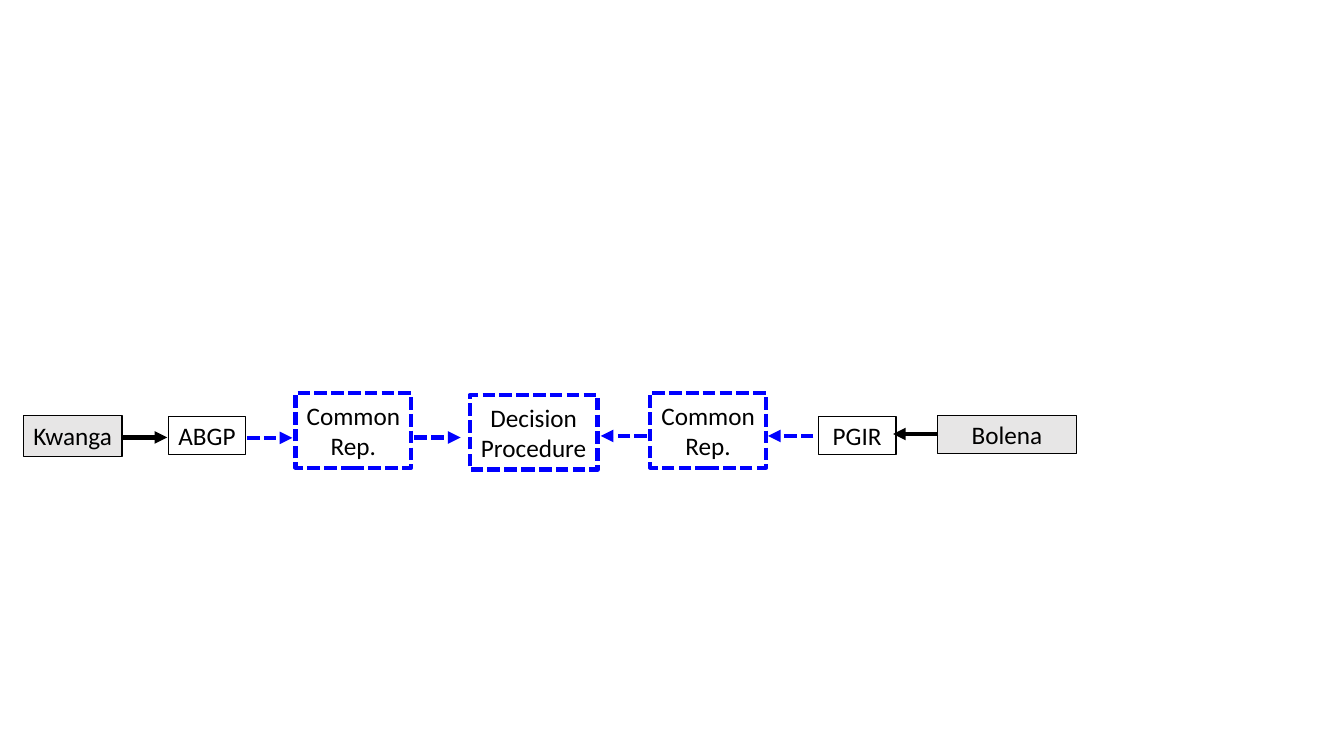
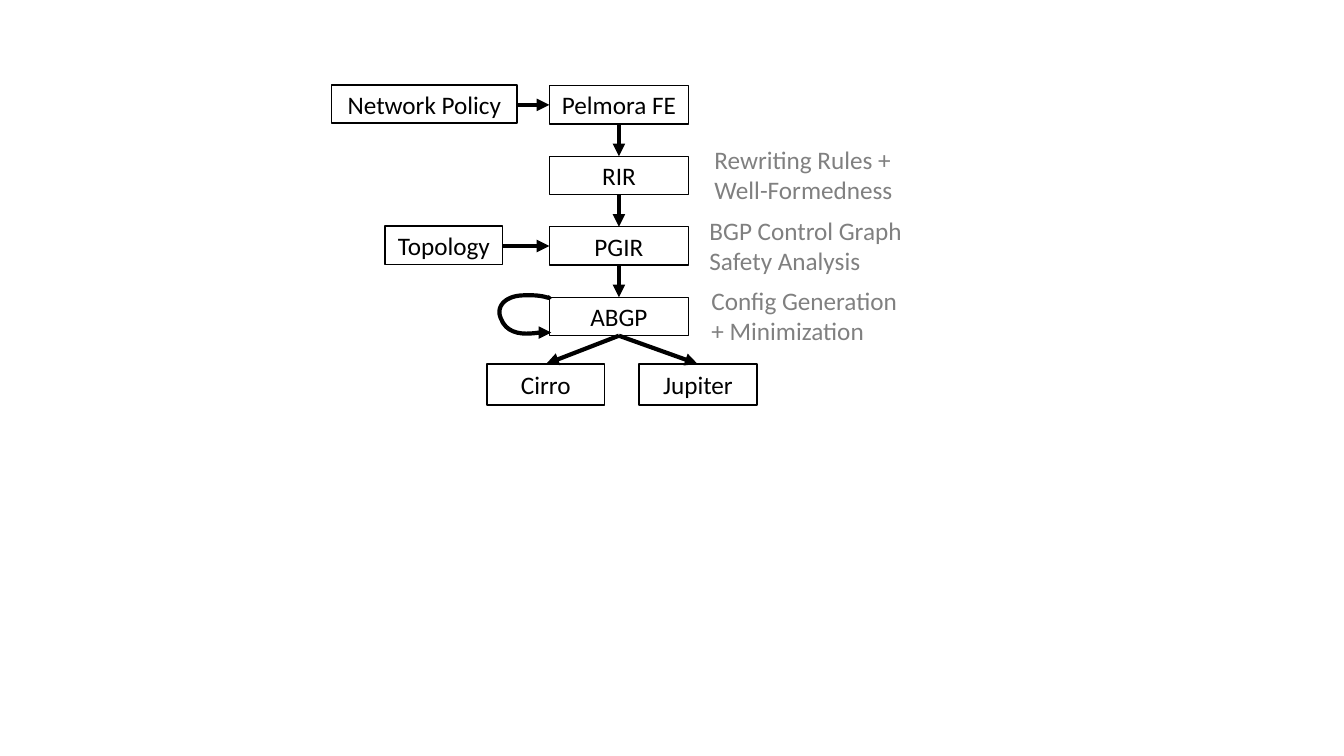
from collections import namedtuple

from lxml import etree
from pptx import Presentation
from pptx.dml.color import RGBColor
from pptx.enum.dml import MSO_LINE
from pptx.enum.shapes import MSO_CONNECTOR, MSO_SHAPE
from pptx.enum.text import MSO_ANCHOR, PP_ALIGN
from pptx.oxml.ns import qn
from pptx.util import Pt

RECTANGLE = MSO_SHAPE.RECTANGLE
STRAIGHT = MSO_CONNECTOR.STRAIGHT
DASHED = MSO_LINE.SQUARE_DOT
MIDDLE, TOP = MSO_ANCHOR.MIDDLE, MSO_ANCHOR.TOP
CENTER, LEFT = PP_ALIGN.CENTER, PP_ALIGN.LEFT

COLORS = {"ink": "000000", "paper": "FFFFFF", "tool": "E7E6E6",
          "planned": "0000FF", "note": "808080"}
FONT, TEXT_SIZE = "Calibri", 18
THIN, THICK = 1, 3
NODE_HEIGHT, ROUTER_HEIGHT = 27.4, 29.5
Box = namedtuple("Box", "left top width height")


def color(name):
    """Return the named colour."""
    return RGBColor.from_string(COLORS[name])


def write(frame, lines, ink, align, anchor):
    """Write each line as one paragraph."""
    frame.word_wrap = True
    frame.vertical_anchor = anchor
    for index, line in enumerate(lines):
        para = frame.add_paragraph() if index else frame.paragraphs[0]
        para.alignment = align
        span = para.add_run()
        span.text = line
        span.font.name = FONT
        span.font.size = Pt(TEXT_SIZE)
        span.font.color.rgb = color(ink)


def style_line(line, ink, width, dashed=False):
    """Set the colour, width and dash of a line."""
    line.color.rgb = color(ink)
    line.width = Pt(width)
    if dashed:
        line.dash_style = DASHED


def add_arrowhead(line):
    """End a line with a triangle."""
    tail = etree.SubElement(line._get_or_add_ln(), qn("a:tailEnd"))
    tail.set("type", "triangle")


def add_node(page, box, lines, fill="paper", planned=False):
    """Draw a labelled rectangle, dashed when it is planned."""
    node = page.shapes.add_shape(RECTANGLE, *map(Pt, box))
    node.shadow.inherit = False
    node.fill.solid()
    node.fill.fore_color.rgb = color(fill)
    style_line(node.line, "planned" if planned else "ink",
               THICK if planned else THIN, planned)
    frame = node.text_frame
    frame.margin_left = frame.margin_right = 0
    frame.margin_top = frame.margin_bottom = 0
    write(frame, lines, "ink", CENTER, MIDDLE)


def add_arrow(page, start, end, planned=False):
    """Draw a straight arrow between two points."""
    arrow = page.shapes.add_connector(STRAIGHT, *map(Pt, start + end))
    style_line(arrow.line, "planned" if planned else "ink", THICK, planned)
    add_arrowhead(arrow.line)
    etree.SubElement(arrow._element.spPr, qn("a:effectLst"))


def add_note(page, box, lines):
    """Write a grey remark beside a stage."""
    note = page.shapes.add_textbox(*map(Pt, box))
    write(note.text_frame, lines, "note", LEFT, TOP)


def curve_points(start, curves, steps=16):
    """Sample a chain of cubic curves."""
    points = [start]
    for first, second, end in curves:
        begin = points[-1]
        for step in range(1, steps + 1):
            t = step / steps
            weights = ((1 - t) ** 3, 3 * t * (1 - t) ** 2,
                       3 * t * t * (1 - t), t ** 3)
            corners = (begin, first, second, end)
            points.append(tuple(
                sum(weight * corner[axis]
                    for weight, corner in zip(weights, corners))
                for axis in (0, 1)))
    return points


def add_loop(page, box):
    """Draw the arrow that returns to the left side of its box."""
    curves = [((-1.4, 2.2), (0, -2.2), (-19.4, -1.4)),
              ((-32.4, -0.7), (-38.2, 7.2), (-34.6, 15.1)),
              ((-27.4, 34.6), (2.2, 20.9), (1.4, 25.2))]
    points = [(Pt(box.left + x), Pt(box.top + y))
              for x, y in curve_points((0.7, -0.7), curves)]
    builder = page.shapes.build_freeform(*points[0])
    builder.add_line_segments(points[1:], close=False)
    loop = builder.convert_to_shape()
    loop.shadow.inherit = False
    loop.fill.background()
    style_line(loop.line, "ink", THICK)
    add_arrowhead(loop.line)


def draw_pipeline(page, area):
    """Draw the two chains that meet at the decision procedure."""
    nodes = [
        (0, 15.8, 70.6, ROUTER_HEIGHT, ["Kwanga"], "tool", False),
        (103.6, 16.6, 55.4, NODE_HEIGHT, ["ABGP"], "paper", False),
        (194.4, 0, 82.8, 53.3, ["Common", "Rep."], "paper", True),
        (318.9, 1.4, 91.4, 53.3, ["Decision", "Procedure"], "paper", True),
        (447.8, 0, 82.8, 53.3, ["Common", "Rep."], "paper", True),
        (568, 16.6, 55.4, NODE_HEIGHT, ["PGIR"], "paper", False),
        (653, 15.8, 99.4, NODE_HEIGHT, ["Bolena"], "tool", False),
    ]
    for x, y, width, height, lines, fill, planned in nodes:
        box = Box(area.left + x, area.top + y, width, height)
        add_node(page, box, lines, fill, planned)
    arrows = [(70.5, 102.9, 31.7, False), (159.8, 192.2, 32, True),
              (279.3, 312.4, 31.7, True), (445.6, 412.5, 30.6, True),
              (564.4, 532, 30.6, True), (653.7, 621.3, 29.2, False)]
    for start, end, y, planned in arrows:
        level = area.top + y
        add_arrow(page, (area.left + start, level),
                  (area.left + end, level), planned)


def draw_compiler(page, area):
    """Draw the compiler stages with their inputs, outputs and notes."""
    pitch = 50.4
    stage_left, stage_width = area.left + 155.5, 99.4
    middle = stage_left + stage_width / 2
    stages = [Box(stage_left, area.top + pitch * row, stage_width, NODE_HEIGHT)
              for row in range(4)]
    for box, label in zip(stages, ["Pelmora FE", "RIR", "PGIR", "ABGP"]):
        add_node(page, box, [label])
    for upper, lower in zip(stages, stages[1:]):
        add_arrow(page, (middle, upper.top + NODE_HEIGHT), (middle, lower.top))

    for row, x, width, label in [(0, 0, 132.5, "Network Policy"),
                                 (2, 38.1, 84.2, "Topology")]:
        source = Box(area.left + x, stages[row].top - 0.6, width, NODE_HEIGHT)
        add_node(page, source, [label])
        level = stages[row].top + NODE_HEIGHT / 2
        add_arrow(page, (source.left + width, level), (stage_left, level))

    for x, tip, label in [(110.9, 153.3, "Cirro"), (219.6, 261.3, "Jupiter")]:
        router = Box(area.left + x, area.top + 198.7, 84.2, ROUTER_HEIGHT)
        add_node(page, router, [label])
        add_arrow(page, (middle, stages[-1].top + NODE_HEIGHT),
                  (area.left + tip, router.top))

    add_loop(page, stages[-1])
    notes = [(266.4, ["Rewriting Rules +", "Well-Formedness"]),
             (262.8, ["BGP Control Graph", "Safety Analysis"]),
             (264.2, ["Config Generation", "+ Minimization"])]
    for box, (x, lines) in zip(stages[1:], notes):
        add_note(page, Box(area.left + x, box.top - 12, 158, 51), lines)


def main():
    """Build and save the deck."""
    deck = Presentation()
    deck.slide_width, deck.slide_height = Pt(960), Pt(540)
    blank = deck.slide_layouts[6]
    draw_pipeline(deck.slides.add_slide(blank), Box(16.6, 280.8, 752.4, 54.7))
    draw_compiler(deck.slides.add_slide(blank), Box(236.9, 61.2, 424.4, 228.2))
    deck.save("out.pptx")


main()
